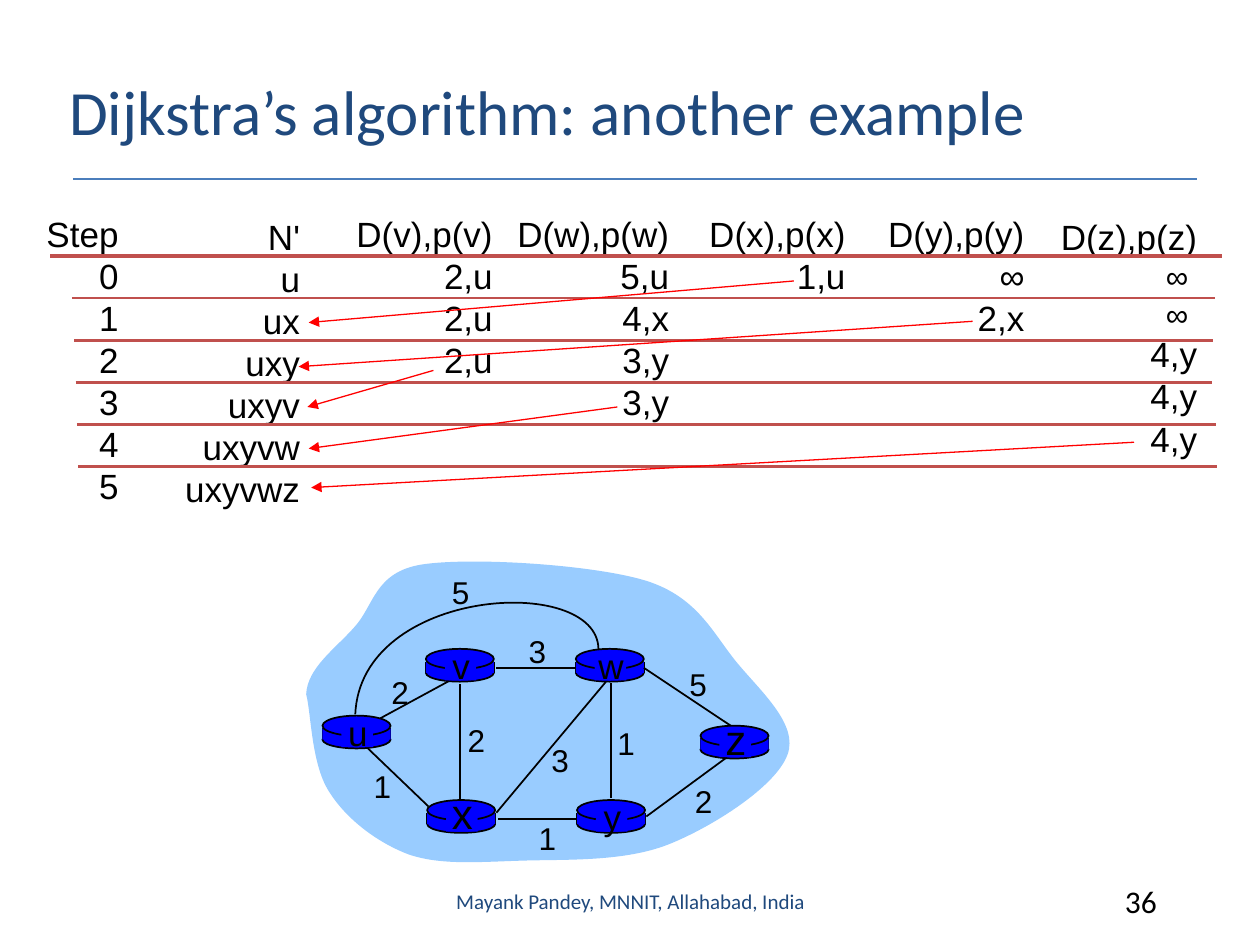
from lxml import etree
from pptx import Presentation
from pptx.dml.color import RGBColor
from pptx.enum.shapes import MSO_CONNECTOR, MSO_SHAPE
from pptx.enum.text import MSO_ANCHOR, PP_ALIGN
from pptx.oxml.ns import qn
from pptx.util import Inches, Pt

LINE = MSO_CONNECTOR.STRAIGHT
OVAL, RECT = MSO_SHAPE.OVAL, MSO_SHAPE.RECTANGLE
LEFT, MID, RIGHT = PP_ALIGN.LEFT, PP_ALIGN.CENTER, PP_ALIGN.RIGHT
TOP, CENTRE = MSO_ANCHOR.TOP, MSO_ANCHOR.MIDDLE

BLACK = RGBColor(0x00, 0x00, 0x00)
NAVY = RGBColor(0x1F, 0x49, 0x7D)
STEEL = RGBColor(0x4B, 0x7E, 0xBC)
BRICK = RGBColor(0xC0, 0x50, 0x4D)
RED = RGBColor(0xFF, 0x00, 0x00)
BLUE = RGBColor(0x00, 0x00, 0xFF)
SKY = RGBColor(0x99, 0xCC, 0xFF)

# The slide is a grid of 100 columns by 75 rows; all lengths are in cells
CELL = Inches(0.1)
ROW = 3.35  # height of a table row

# Table columns: left, top, width, entries
COLS = [
    (2.4, 16.4, 8, ["Step", "0", "1", "2", "3", "4", "5"]),
    (13.5, 16.6, 11.3, ["N'", "u", "ux", "uxy", "uxyv", "uxyvw", "uxyvwz"]),
    (27.1, 16.4, 13, ["D(v),p(v)", "2,u", "2,u", "2,u"]),
    (39.6, 16.4, 14.5, ["D(w),p(w)", "5,u", "4,x", "3,y", "3,y"]),
    (55.1, 16.4, 13, ["D(x),p(x)", "1,u"]),
    (69.3, 16.4, 13, ["D(y),p(y)", "∞", "2,x"]),
    (83, 16.6, 13, ["D(z),p(z)", "∞ ", "∞ ", "4,y", "4,y", "4,y"]),
]
# Left and right ends of the rules under the rows
RULES = [(4, 97), (5.7, 96.4), (5.9, 96.3), (6, 96.2), (6.1, 96.5), (6.2, 96.6)]
# Arrows from the chosen distance to the grown set
PICKS = [
    (63, 22.3, 24.5, 25.6),
    (77.2, 25.5, 23.7, 29.1),
    (34.4, 29.4, 24.4, 32.3),
    (49, 32.3, 24.5, 35.6),
    (90, 35.1, 24.7, 38.7),
]
# Routers: left, top, letter size
NODES = {
    "u": (25.6, 56.8, 20),
    "x": (33.9, 63.5, 24),
    "v": (33.8, 51.5, 20),
    "w": (45.7, 51.5, 20),
    "y": (45.8, 63.5, 20),
    "z": (55.6, 57.6, 24),
}
EDGES = [
    (48.5, 54.2, 48.5, 63.3),
    (36.5, 54.3, 36.5, 63.6),
    (39.4, 64.5, 48.1, 54.1),
    (51.3, 64.8, 57.7, 60.1),
    (45.8, 65, 39.5, 65),
    (34, 64, 29.2, 59.4),
    (45.7, 53, 39.4, 53),
    (58, 57.6, 51.1, 53),
]
# Edge costs: centre of the figure
COSTS = [
    ("2", 31.75, 54.9), ("2", 37.8, 58.7), ("1", 30.35, 62.4),
    ("3", 44.45, 60.3), ("1", 43.45, 66.5), ("1", 49.7, 59),
    ("2", 55.85, 63.6), ("5", 55.4, 54.3), ("3", 42.65, 51.7),
    ("5", 36.55, 47),
]
# Curves: a start point, then two handles and an end for each piece
CLOUD = [
    (24.3, 55.1),
    (24.4, 53), (26.6, 51.5), (28.1, 49.8),
    (29.7, 48.1), (29.7, 45.4), (33.5, 44.8),
    (37.4, 44.2), (47.1, 44.8), (51.3, 46.1),
    (55.4, 47.4), (56.6, 50.3), (58.5, 52.6),
    (60.4, 54.9), (63.4, 57.5), (62.5, 59.9),
    (61.6, 62.4), (56.6, 65.6), (53.1, 67),
    (49.6, 68.4), (45, 68.2), (41.6, 68.3),
    (38.1, 68.4), (35, 68.7), (32.4, 67.8),
    (29.8, 66.8), (27.4, 64.9), (26.1, 62.8),
    (24.7, 60.6), (24.7, 56.6), (24.3, 55.1),
]
ARC = [(47.5, 51.5), (47.4, 45.5), (28.6, 46.6), (28.2, 56.7)]


def cells(*nums):
    return [round(n * CELL) for n in nums]


def add_text(slide, box, lines, size, face="Arial", color=BLACK, align=MID,
             anchor=TOP, wrap=False):
    frame = slide.shapes.add_textbox(*cells(*box)).text_frame
    frame.word_wrap = wrap
    frame.vertical_anchor = anchor
    frame.text = "\n".join(lines)
    for para in frame.paragraphs:
        points = 18 if para.text.startswith("∞ ") else size
        para.alignment = align
        para.font.size = Pt(points)
        para.font.name = face
        para.font.color.rgb = color
        if face == "Arial":
            para.line_spacing = Pt(points * 1.2)


def add_line(slide, ends, color=BLACK, width=1, arrow=False):
    line = slide.shapes.add_connector(LINE, *cells(*ends))
    line.line.color.rgb = color
    line.line.width = Pt(width)
    if arrow:
        pen = line.line._get_or_add_ln()
        etree.SubElement(pen, qn("a:tailEnd"), type="triangle")
    etree.SubElement(line._element.spPr, qn("a:effectLst"))


def paint(shape, fill, edge):
    shape.shadow.inherit = False
    if fill:
        shape.fill.solid()
        shape.fill.fore_color.rgb = fill
    else:
        shape.fill.background()
    if edge:
        shape.line.color.rgb = edge
        shape.line.width = Pt(1)
    else:
        shape.line.fill.background()


def add_shape(slide, kind, box, edge=None):
    paint(slide.shapes.add_shape(kind, *cells(*box)), BLUE, edge)


def add_curve(slide, knots, fill=None, edge=None):
    pen = slide.shapes.build_freeform(*cells(*knots[0]))
    pen.add_line_segments([cells(*knot) for knot in knots[1:]],
                          close=fill is not None)
    shape = pen.convert_to_shape()
    # Each three straight steps become one Bezier piece
    steps = list(shape._element.iter(qn("a:lnTo")))
    for i in range(0, len(knots) - 1, 3):
        bend = etree.Element(qn("a:cubicBezTo"))
        steps[i].addprevious(bend)
        for step in steps[i:i + 3]:
            bend.append(step[0])
            step.getparent().remove(step)
    paint(shape, fill, edge)


def add_router(slide, x, y):
    wide = 5.4
    add_shape(slide, OVAL, (x, y + 1.2, wide, 1.4), BLACK)
    for side in (x, x + wide):
        add_line(slide, (side, y + 1, side, y + 1.9))
    add_shape(slide, RECT, (x, y + 1, wide, 0.9))
    add_shape(slide, OVAL, (x, y, wide, 1.6), BLACK)


def add_name(slide, name, x, y, size):
    add_shape(slide, RECT, (x + 1.5, y + 0.2, 2.5, 2.3))
    high = size / 6 + 1
    add_text(slide, (x + 0.8, y + 3.5 - high, 4, high), [name], size)


def add_steps(slide):
    for x, y, wide, lines in COLS:
        add_text(slide, (x, y, wide, ROW * len(lines) + 1), lines, 20,
                 align=RIGHT)
    for i, (left, right) in enumerate(RULES):
        y = 20.3 + i * ROW
        add_line(slide, (left, y, right, y), BRICK, 1.5 if i else 2.25)


def add_graph(slide):
    add_curve(slide, CLOUD, fill=SKY)
    add_line(slide, (30.2, 57, 36.1, 53.8))
    for x, y, _ in NODES.values():
        add_router(slide, x, y)
    for ends in EDGES:
        add_line(slide, ends)
    add_curve(slide, ARC, edge=BLACK)
    for name, node in NODES.items():
        add_name(slide, name, *node)
    for cost, x, y in COSTS:
        add_text(slide, (x - 1.75, y - 2, 3.5, 4), [cost], 18)


def main():
    prs = Presentation()
    prs.slide_width, prs.slide_height = cells(100, 75)
    slide = prs.slides.add_slide(prs.slide_layouts[6])

    # Heading
    add_line(slide, (5.8, 14.2, 95, 14.2), STEEL, 0.75)
    add_text(slide, (4.5, 2.5, 91.5, 12.5),
             ["Dijkstra’s algorithm: another example"], 36, "Calibri", NAVY,
             LEFT, CENTRE, True)

    # Steps, network and the choice made at each step
    add_steps(slide)
    add_graph(slide)
    for ends in PICKS:
        add_line(slide, ends, RED, 0.75, arrow=True)

    # Footer
    add_text(slide, (34.2, 69.5, 31.7, 4),
             ["Mayank Pandey, MNNIT, Allahabad, India"], 12, "Calibri", NAVY,
             MID, CENTRE, True)
    add_text(slide, (88.3, 69.5, 6.7, 4), ["36"], 18, "Calibri", align=LEFT,
             wrap=True)
    prs.save("out.pptx")


if __name__ == "__main__":
    main()
